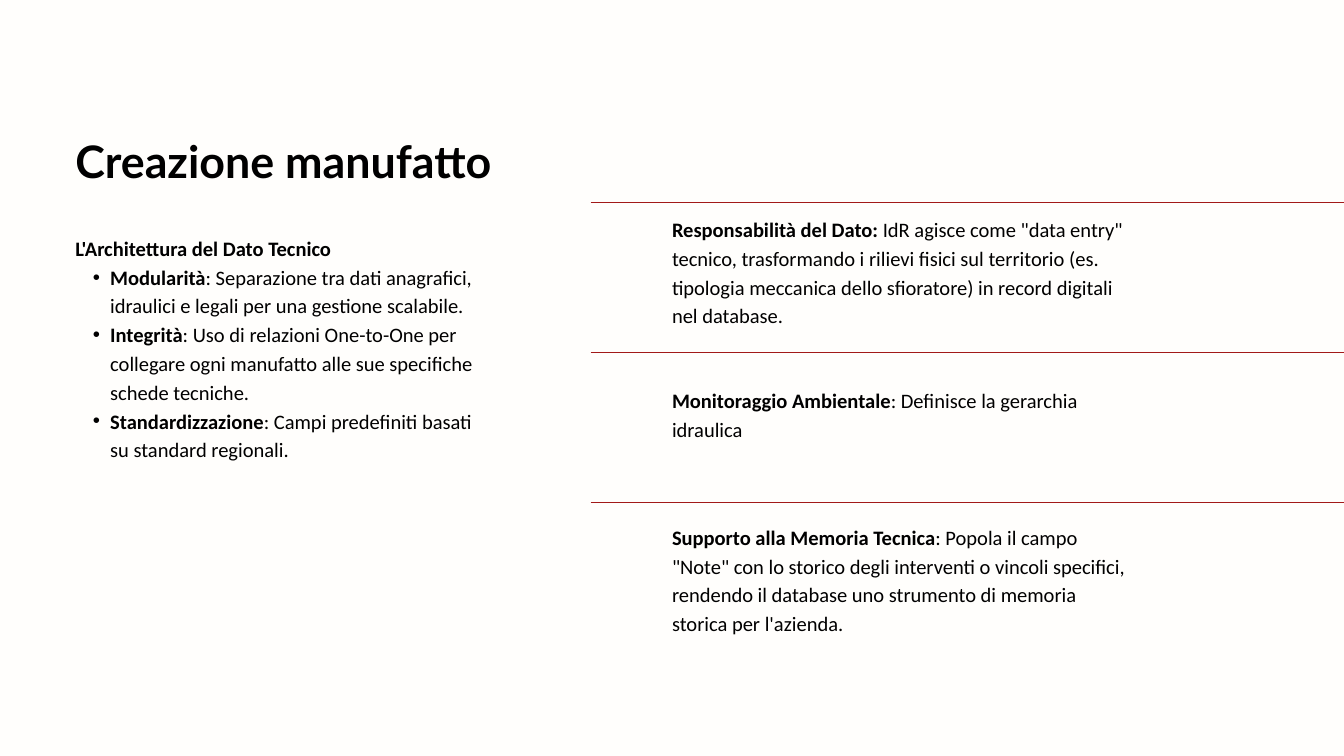
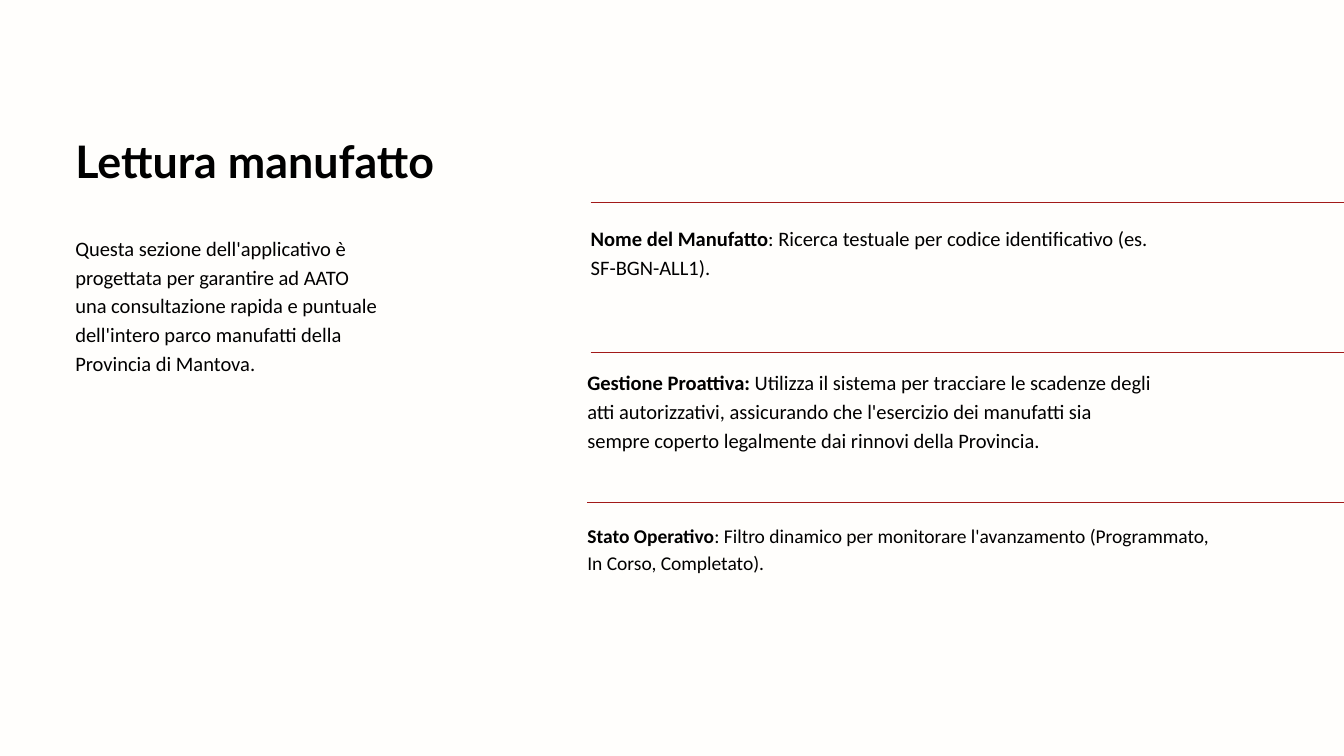
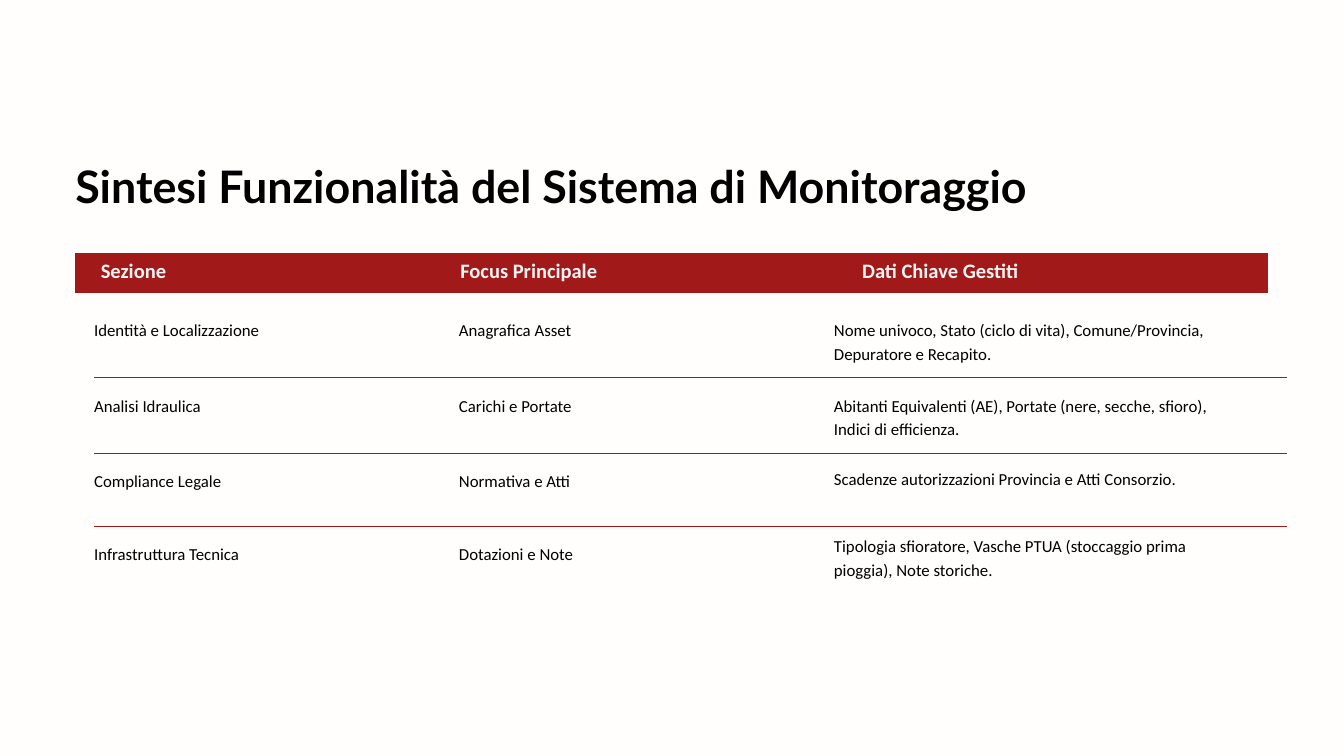
from dataclasses import dataclass
from itertools import accumulate

from lxml.etree import SubElement
from pptx import Presentation
from pptx.dml.color import RGBColor
from pptx.enum.shapes import MSO_CONNECTOR
from pptx.enum.text import MSO_ANCHOR, MSO_AUTO_SIZE
from pptx.oxml.ns import qn
from pptx.util import Inches, Pt


@dataclass(frozen=True)
class Theme:
    paper: str = "FFFEFC"
    red: str = "A21919"
    ink: str = "000000"
    light: str = "F4F4F4"
    title_font: str = "Lato"
    body_font: str = "Calibri"
    title_size: float = 48
    body_size: float = 22
    status_size: float = 20.9
    cell_size: float = 18
    rule_width: float = 0.75
    title_leading: float = 1.3
    body_leading: float = 1.4


T = Theme()
WIDTH, HEIGHT = 20, 11.25
LEFT = 1.12

# Content: every paragraph is a pair (bold part, plain part)
CREATION = {
    "title": "Creazione manufatto",
    "intro": [
        ("L'Architettura del Dato Tecnico", ""),
        ("Modularità", ": Separazione tra dati anagrafici, idraulici e legali "
                       "per una gestione scalabile."),
        ("Integrità", ": Uso di relazioni One-to-One per collegare ogni manufatto "
                      "alle sue specifiche schede tecniche."),
        ("Standardizzazione", ": Campi predefiniti basati su standard regionali."),
    ],
    "intro_width": 6.21,
    "rule_lefts": [8.79, 8.79, 8.79],
    # (left, top, width, height), type size, paragraph
    "points": [
        ((10, 3.17, 6.82, 1.72), T.body_size,
         ("Responsabilità del Dato:",
          ' IdR agisce come "data entry" tecnico, trasformando i rilievi fisici sul '
          "territorio (es. tipologia meccanica dello sfioratore) in record digitali "
          "nel database.")),
        ((10, 5.71, 6.82, 0.87), T.body_size,
         ("Monitoraggio Ambientale", ": Definisce la gerarchia idraulica")),
        ((10, 7.75, 6.82, 1.72), T.body_size,
         ("Supporto alla Memoria Tecnica",
          ': Popola il campo "Note" con lo storico degli interventi o vincoli '
          "specifici, rendendo il database uno strumento di memoria storica per "
          "l'azienda.")),
    ],
}
READING = {
    "title": "Lettura manufatto",
    "intro": [
        ("", "Questa sezione dell'applicativo è progettata per garantire ad AATO una "
             "consultazione rapida e puntuale dell'intero parco manufatti della "
             "Provincia di Mantova."),
    ],
    "intro_width": 4.51,
    "rule_lefts": [8.79, 8.79, 8.74],
    "points": [
        ((8.79, 3.3, 8.42, 0.87), T.body_size,
         ("Nome del Manufatto",
          ": Ricerca testuale per codice identificativo (es. SF-BGN-ALL1).")),
        ((8.74, 5.45, 8.48, 1.72), T.body_size,
         ("Gestione Proattiva:",
          " Utilizza il sistema per tracciare le scadenze degli atti autorizzativi, "
          "assicurando che l'esercizio dei manufatti sia sempre coperto legalmente "
          "dai rinnovi della Provincia.")),
        ((8.74, 7.74, 9.44, 0.84), T.status_size,
         ("Stato Operativo",
          ": Filtro dinamico per monitorare l'avanzamento (Programmato, In Corso, "
          "Completato).")),
    ],
}
SUMMARY_TITLE = "Sintesi Funzionalità del Sistema di Monitoraggio"
SUMMARY = [
    ("Sezione", "Focus Principale", "Dati Chiave Gestiti"),
    ("Identità e Localizzazione", "Anagrafica Asset",
     "Nome univoco, Stato (ciclo di vita), Comune/Provincia, Depuratore e Recapito."),
    ("Analisi Idraulica", "Carichi e Portate",
     "Abitanti Equivalenti (AE), Portate (nere, secche, sfioro), Indici di efficienza."),
    ("Compliance Legale", "Normativa e Atti",
     "Scadenze autorizzazioni Provincia e Atti Consorzio."),
    ("Infrastruttura Tecnica", "Dotazioni e Note",
     "Tipologia sfioratore, Vasche PTUA (stoccaggio prima pioggia), Note storiche."),
]

# Layout
RULE_TOP, RULE_STEP = 3.01, 2.23
TABLE_TOP = 3.76
COLUMN_WIDTHS = [5.69, 5.6, 6.46]
ROW_HEIGHTS = [0.6, 1.26, 1.12, 1.09, 1.09]
HEADER_INSETS, BODY_INSETS = [0.38, 0.04, 0.42], [0.28, 0.02, 0]
RIGHT_INSET = 0.7
# Space above the text of each row: first two columns, last column
ROW_INSETS = [(0.04, 0.04), (0.37, 0.37), (0.23, 0.23), (0.23, 0.2), (0.23, 0.11)]
ROW_RULE_LEFT = 1.4
NO_TABLE_STYLE = "{2D5ABB26-0587-4C30-8999-92F81FD0307C}"


def rgb(color):
    return RGBColor.from_string(color)


def add_bullet(p):
    pPr = p._p.get_or_add_pPr()
    pPr.set("marL", str(Inches(0.52)))
    pPr.set("indent", str(Inches(-0.26)))
    SubElement(pPr, qn("a:buFont")).set("typeface", "Arial")
    SubElement(pPr, qn("a:buChar")).set("char", "•")


def write(tf, paragraphs, *, size=T.body_size, font=T.body_font, color=T.ink,
          leading=T.body_leading):
    """Fill a text frame; paragraphs after the first are bulleted."""
    tf.word_wrap = True
    for i, parts in enumerate(paragraphs):
        p = tf.paragraphs[0] if i == 0 else tf.add_paragraph()
        p.line_spacing = Pt(round(size * leading, 1))
        if i:
            add_bullet(p)
        for text, bold in zip(parts, (True, False)):
            if text:
                r = p.add_run()
                r.text = text
                r.font.name, r.font.size, r.font.bold = font, Pt(size), bold
                r.font.color.rgb = rgb(color)


def add_text(s, box, paragraphs, **fmt):
    tf = s.shapes.add_textbox(*map(Inches, box)).text_frame
    tf.margin_left = tf.margin_top = tf.margin_right = tf.margin_bottom = 0
    tf.auto_size = MSO_AUTO_SIZE.SHAPE_TO_FIT_TEXT
    write(tf, paragraphs, **fmt)


def add_rule(s, left, right, y):
    line = s.shapes.add_connector(MSO_CONNECTOR.STRAIGHT, Inches(left), Inches(y),
                                  Inches(right), Inches(y))
    line.line.color.rgb = rgb(T.red)
    line.line.width = Pt(T.rule_width)
    SubElement(line.element.spPr, qn("a:effectLst"))


def new_slide(prs, title, top=1.92, width=13.45):
    s = prs.slides.add_slide(prs.slide_layouts[6])
    s.background.fill.solid()
    s.background.fill.fore_color.rgb = rgb(T.paper)
    add_text(s, (LEFT, top, width, 0.85), [(title, "")], size=T.title_size,
             font=T.title_font, leading=T.title_leading)
    return s


def points_slide(prs, content):
    s = new_slide(prs, content["title"])
    add_text(s, (LEFT, 3.45, content["intro_width"], 4.24), content["intro"])
    for i, left in enumerate(content["rule_lefts"]):
        add_rule(s, left, WIDTH, RULE_TOP + i * RULE_STEP)
    for box, size, paragraph in content["points"]:
        add_text(s, box, [paragraph], size=size)


def summary_slide(prs):
    s = new_slide(prs, SUMMARY_TITLE, top=2.29, width=17.29)
    table_width = sum(COLUMN_WIDTHS)
    frame = s.shapes.add_table(
        len(SUMMARY), len(COLUMN_WIDTHS), Inches(LEFT), Inches(TABLE_TOP),
        Inches(table_width), Inches(sum(ROW_HEIGHTS)))
    table = frame.table
    table.horz_banding = False
    for style in frame.element.iter(qn("a:tableStyleId")):
        style.text = NO_TABLE_STYLE
    for column, width in zip(table.columns, COLUMN_WIDTHS):
        column.width = Inches(width)
    for row, height in zip(table.rows, ROW_HEIGHTS):
        row.height = Inches(height)

    # Cells
    for i, texts in enumerate(SUMMARY):
        header = i == 0
        insets = HEADER_INSETS if header else BODY_INSETS
        for j, text in enumerate(texts):
            cell = table.cell(i, j)
            cell.vertical_anchor = MSO_ANCHOR.TOP
            cell.margin_left = Inches(insets[j])
            cell.margin_top = Inches(ROW_INSETS[i][j == len(texts) - 1])
            cell.margin_right, cell.margin_bottom = Inches(RIGHT_INSET), 0
            if header:
                cell.fill.solid()
                cell.fill.fore_color.rgb = rgb(T.red)
                write(cell.text_frame, [(text, "")], color=T.light)
            else:
                cell.fill.background()
                write(cell.text_frame, [("", text)], size=T.cell_size)

    # Rules between the body rows, set off to the right of the header band
    bottoms = list(accumulate(ROW_HEIGHTS, initial=TABLE_TOP))[2:-1]
    for y in bottoms:
        add_rule(s, ROW_RULE_LEFT, ROW_RULE_LEFT + table_width, y)


def main():
    prs = Presentation()
    prs.slide_width, prs.slide_height = Inches(WIDTH), Inches(HEIGHT)
    for content in (CREATION, READING):
        points_slide(prs, content)
    summary_slide(prs)
    prs.save("out.pptx")


if __name__ == "__main__":
    main()
